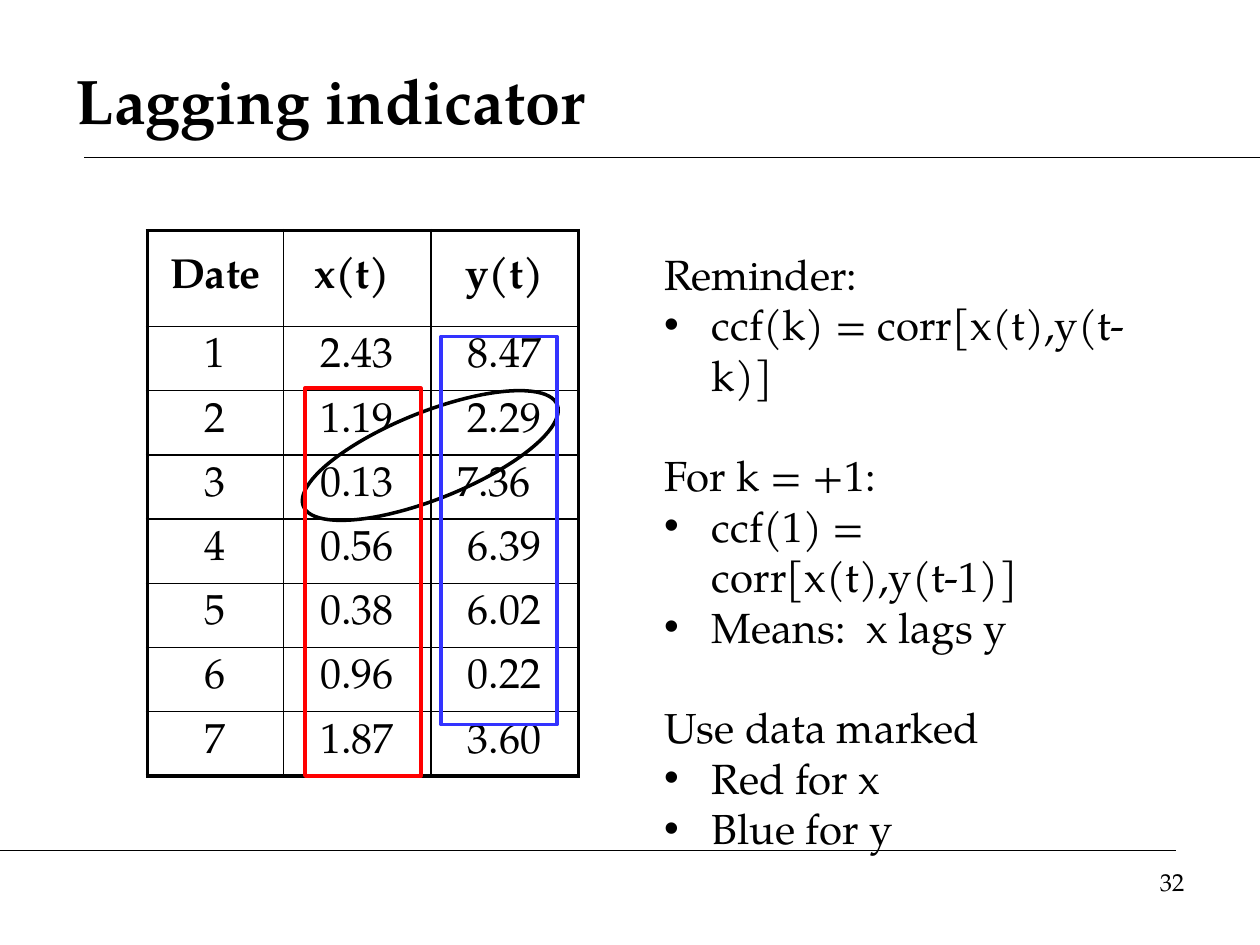
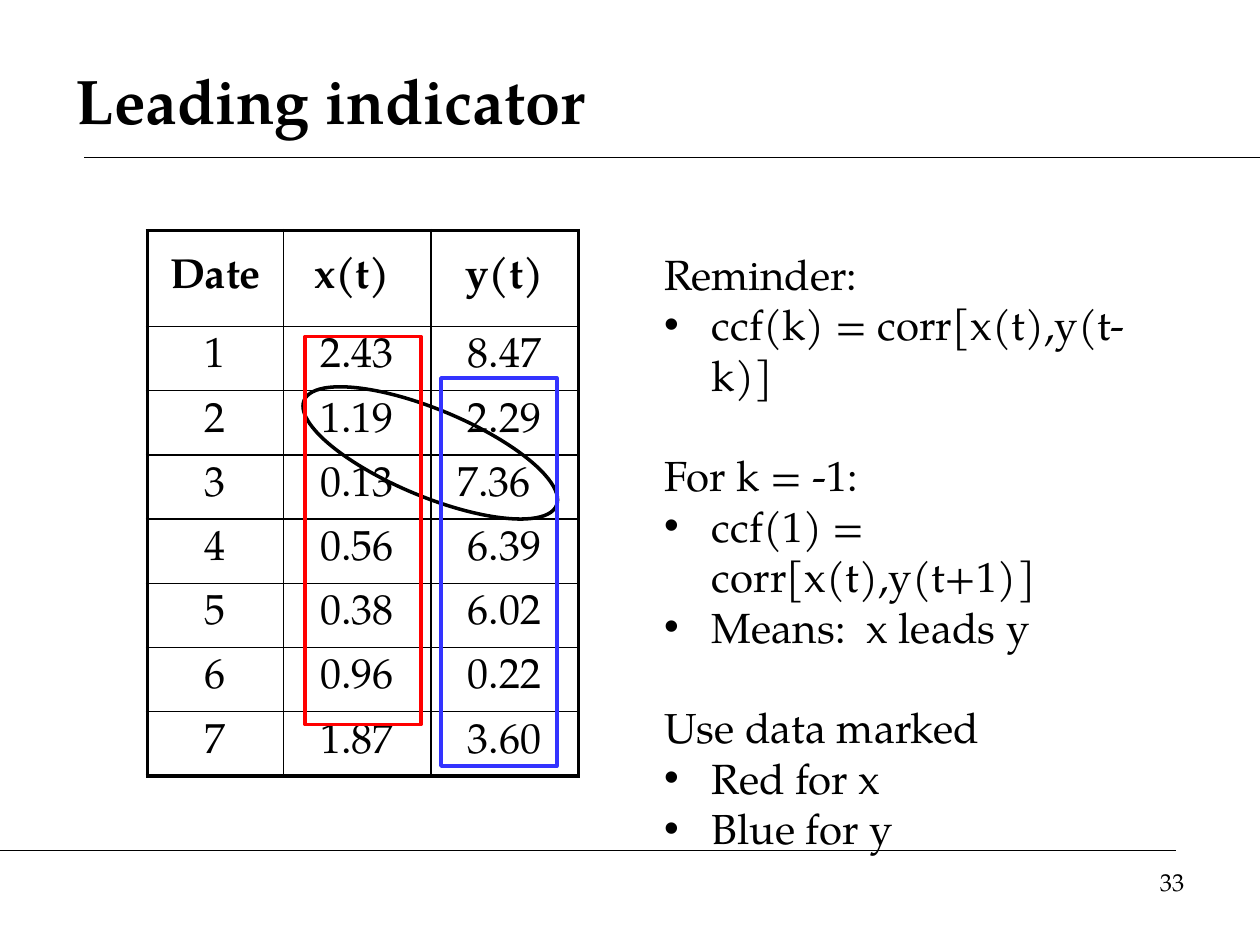
import lxml.etree
import pptx
import pptx.dml.color
import pptx.enum.shapes
import pptx.enum.text
import pptx.oxml
import pptx.oxml.ns
import pptx.util

Inches = pptx.util.Inches
Pt = pptx.util.Pt
ALIGN = pptx.enum.text.PP_ALIGN
ANCHOR = pptx.enum.text.MSO_ANCHOR
SHAPES = pptx.enum.shapes.MSO_SHAPE

BLACK = pptx.dml.color.RGBColor(0x00, 0x00, 0x00)
RED = pptx.dml.color.RGBColor(0xFF, 0x00, 0x00)
BLUE = pptx.dml.color.RGBColor(0x33, 0x33, 0xFF)
FONT = "TeX Gyre Pagella"

COLUMN_WIDTHS = [1.08, 1.17, 1.17]
HEADER_HEIGHT = 0.76
ROW_HEIGHT = 0.51
THIN, THICK = 1, 2.25
SERIES = [
    ("Date", "x(t)", "y(t)"),
    ("1", "2.43", "8.47"),
    ("2", "1.19", "2.29"),
    ("3", "0.13", "7.36"),
    ("4", "0.56", "6.39"),
    ("5", "0.38", "6.02"),
    ("6", "0.96", "0.22"),
    ("7", "1.87", "3.60"),
]
RIGHT_MARGINS = {"x(t)": 0.18, "7.36": 0.27}
X_LEFT, Y_LEFT = 2.42, 3.5


def write_text(paragraph, text, size=24, bold=False, color=BLACK,
               align=ALIGN.LEFT, space_before=0):
    paragraph.text = text
    paragraph.alignment = align
    paragraph.space_before = Pt(space_before)
    font = paragraph.font
    font.name = FONT
    font.size = Pt(size)
    font.bold = bold
    font.color.rgb = color


class SlideBuilder:
    def __init__(self, presentation):
        self.presentation = presentation
        self.slide = None

    def start(self, title, number):
        layout = self.presentation.slide_layouts[1]
        self.slide = self.presentation.slides.add_slide(layout)
        self.rule(0.67, 10, 1.25)
        self.rule(0, 9.33, 6.75)
        frame = self.place(self.slide.shapes.title, 0.5, 0.33, 9, 0.92, ANCHOR.MIDDLE)
        write_text(frame.paragraphs[0], title, size=36, bold=True)
        self.page_number(number)

    def place(self, shape, left, top, width, height, anchor=ANCHOR.TOP):
        shape.left, shape.top = Inches(left), Inches(top)
        shape.width, shape.height = Inches(width), Inches(height)
        frame = shape.text_frame
        frame.word_wrap = True
        frame.auto_size = pptx.enum.text.MSO_AUTO_SIZE.NONE
        frame.vertical_anchor = anchor
        return frame

    def rule(self, start, end, top):
        connector = self.slide.shapes.add_connector(
            pptx.enum.shapes.MSO_CONNECTOR.STRAIGHT,
            Inches(start), Inches(top), Inches(end), Inches(top))
        connector.line.color.rgb = BLACK
        connector.line.width = Pt(0.75)
        lxml.etree.SubElement(connector._element.spPr, pptx.oxml.ns.qn("a:effectLst"))

    def page_number(self, number):
        box = self.slide.shapes.add_textbox(0, 0, 0, 0)
        frame = self.place(box, 7.17, 6.83, 2.33, 0.52)
        write_text(frame.paragraphs[0], str(number), size=14, align=ALIGN.RIGHT)

    def bullet_sections(self, sections):
        frame = self.place(self.slide.placeholders[1], 5.17, 1.92, 4, 4.17)
        paragraph = frame.paragraphs[0]
        for section, (heading, items) in enumerate(sections):
            if section:
                paragraph = frame.add_paragraph()
            self.indent(paragraph, bulleted=False)
            write_text(paragraph, heading, space_before=28.8 if section else 0)
            for item in items:
                paragraph = frame.add_paragraph()
                self.indent(paragraph, bulleted=True)
                write_text(paragraph, item)

    def indent(self, paragraph, bulleted):
        properties = paragraph._p.get_or_add_pPr()
        properties.set("marL", str(Inches(0.38)))
        properties.set("indent", str(-Inches(0.38)))
        tag = "a:buChar" if bulleted else "a:buNone"
        bullet = lxml.etree.SubElement(properties, pptx.oxml.ns.qn(tag))
        if bulleted:
            bullet.set("char", "•")

    def series_table(self):
        rows, columns = len(SERIES), len(COLUMN_WIDTHS)
        height = HEADER_HEIGHT + ROW_HEIGHT * (rows - 1)
        table = self.slide.shapes.add_table(
            rows, columns, Inches(1.17), Inches(1.83),
            Inches(sum(COLUMN_WIDTHS)), Inches(height)).table
        table.first_row = False
        table.horz_banding = False
        for column, width in zip(table.columns, COLUMN_WIDTHS):
            column.width = Inches(width)
        for row_index, values in enumerate(SERIES):
            table.rows[row_index].height = Inches(ROW_HEIGHT if row_index else HEADER_HEIGHT)
            for column_index, value in enumerate(values):
                cell = table.cell(row_index, column_index)
                self.borders(cell, {
                    "L": column_index == 0,
                    "R": column_index == columns - 1,
                    "T": row_index == 0,
                    "B": row_index == rows - 1,
                })
                cell.fill.background()
                cell.vertical_anchor = ANCHOR.MIDDLE
                cell.margin_right = Inches(RIGHT_MARGINS.get(value, 0.1))
                write_text(cell.text_frame.paragraphs[0], value,
                           bold=row_index == 0, align=ALIGN.CENTER)

    def borders(self, cell, outer_sides):
        properties = cell._tc.get_or_add_tcPr()
        for side, outer in outer_sides.items():
            width = Pt(THICK if outer else THIN)
            properties.append(pptx.oxml.parse_xml(
                f'<a:ln{side} {pptx.oxml.ns.nsdecls("a")} w="{width}">'
                f'<a:solidFill><a:srgbClr val="{BLACK}"/></a:solidFill></a:ln{side}>'))

    def outline(self, kind, left, top, width, height, color, rotation=0):
        shape = self.slide.shapes.add_shape(
            kind, Inches(left), Inches(top), Inches(width), Inches(height))
        shape.rotation = rotation
        shape.shadow.inherit = False
        shape.fill.background()
        shape.line.color.rgb = color
        shape.line.width = Pt(2)

    def pair_marks(self, ellipse_top, rotation, x_top, y_top):
        self.outline(SHAPES.OVAL, 2.33, ellipse_top, 2.17, 0.69, BLACK, rotation)
        for left, top, color in [(X_LEFT, x_top, RED), (Y_LEFT, y_top, BLUE)]:
            self.outline(SHAPES.RECTANGLE, left, top, 0.92, 3.08, color)


def indicator_slide(builder, title, number, lag, formula, meaning, marks):
    builder.start(title, number)
    builder.bullet_sections([
        ("Reminder:", ["ccf(k) = corr[x(t),y(t-k)]"]),
        (f"For k = {lag}:", [f"ccf(1) = {formula}", f"Means:  {meaning}"]),
        ("Use data marked", ["Red for x", "Blue for y"]),
    ])
    builder.series_table()
    builder.pair_marks(**marks)


def main():
    presentation = pptx.Presentation()
    presentation.slide_width = Inches(10)
    presentation.slide_height = Inches(7.5)
    builder = SlideBuilder(presentation)
    indicator_slide(builder, "Lagging indicator", 32, "+1",
                    "corr[x(t),y(t-1)]", "x lags y",
                    dict(ellipse_top=3.27, rotation=338.2, x_top=3.08, y_top=2.67))
    indicator_slide(builder, "Leading indicator", 33, "-1",
                    "corr[x(t),y(t+1)]", "x leads y",
                    dict(ellipse_top=3.25, rotation=22.6, x_top=2.67, y_top=3))
    presentation.save("out.pptx")


if __name__ == "__main__":
    main()
